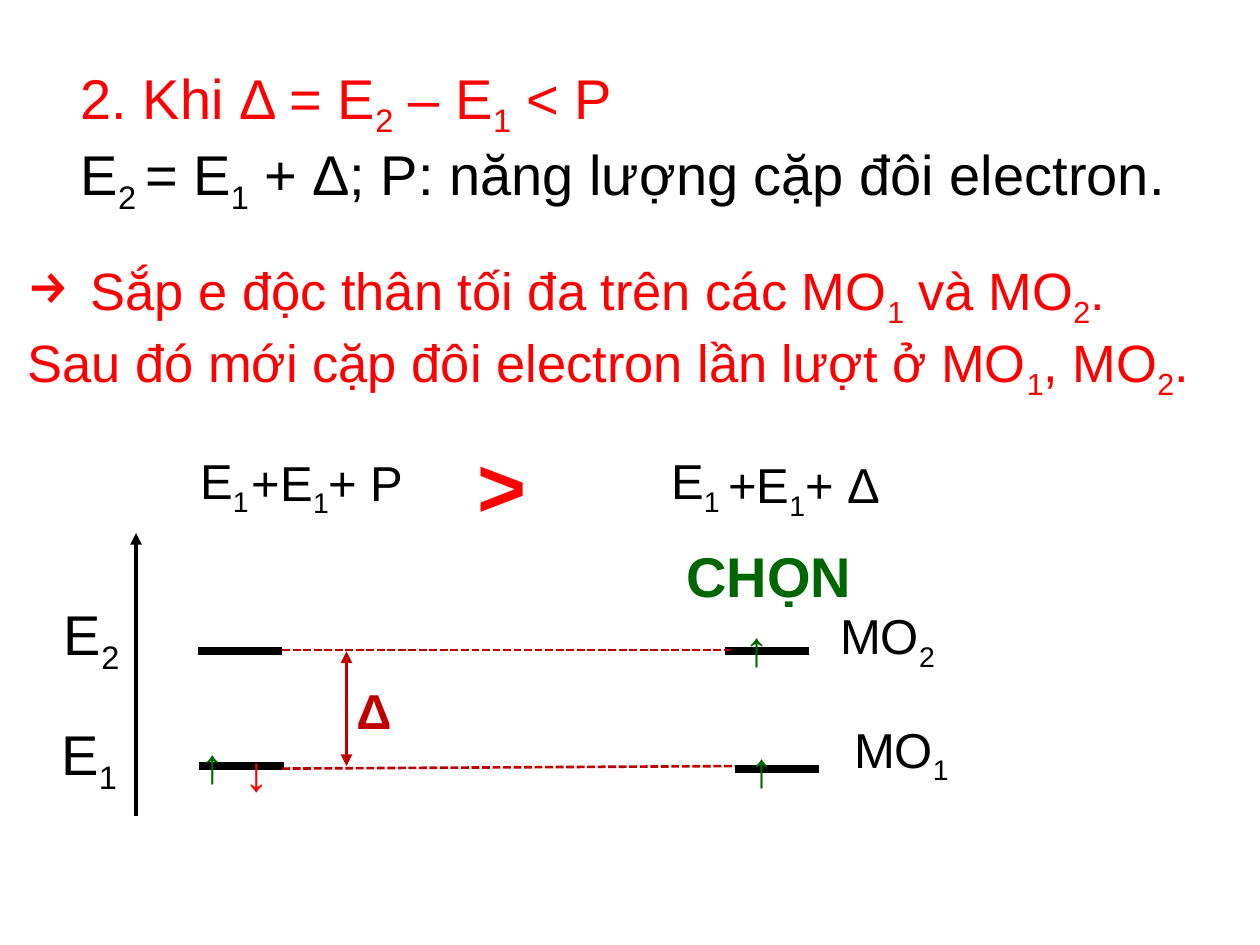
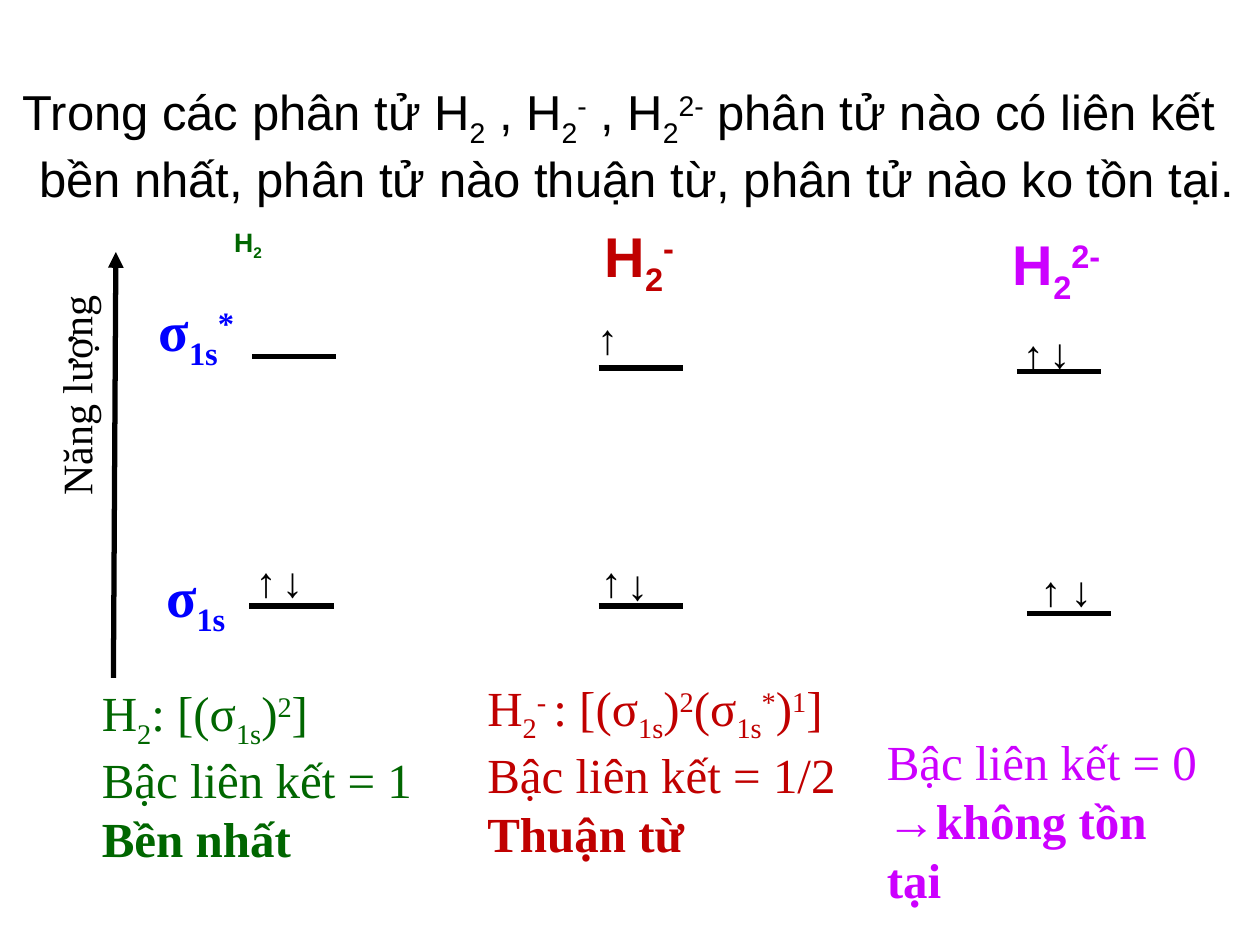
"""Build two slides on molecular orbital filling and bond order."""
from dataclasses import dataclass

from lxml import etree
from pptx import Presentation
from pptx import util as u
from pptx.dml.color import RGBColor
from pptx.enum import dml, shapes, text
from pptx.oxml.ns import qn


@dataclass(frozen=True)
class Theme:
    sans: str = "Arial"
    serif: str = "Times New Roman"
    black: str = "000000"
    red: str = "FF0000"
    crimson: str = "C00000"
    green: str = "006600"
    blue: str = "0000FF"
    violet: str = "CC00FF"
    tiny: float = 15.2
    small: int = 24
    body: int = 28
    lead: int = 30
    head: int = 32
    huge: int = 48


T = Theme()
WIDTH, HEIGHT = 10, 7.5
LEVEL_WIDTH = 0.67
SHIFT = {"_": "-25000", "^": "30000"}

RULE_TITLE = [("2. Khi Δ = E|_2| – E|_1| < P", T.red),
              ("E|_2 |= E|_1| + Δ; P: năng lượng cặp đôi electron.", T.black)]
FILLING_RULE = ["Sắp e độc thân tối đa trên các MO|_1| và MO|_2|.",
                "Sau đó mới cặp đôi electron lần lượt ở MO|_1|, MO|_2|."]
SPLIT_LEVELS = [(1.58, 6.08), (1.57, 5.17), (5.75, 5.17), (5.83, 6.1)]
GAP_GUIDES = [(2.24, 5.16, 5.79, 5.16), (2.24, 6.1, 5.83, 6.08)]
SPLIT_LABELS = [
    ("E|_2", 0.41, 4.71, 0.8, T.head, T.black, False),
    ("E|_1", 0.39, 5.66, 0.8, T.head, T.black, False),
    ("E|_1", 1.49, 3.53, 0.7, T.body, T.black, False),
    ("+E|_1|+ P", 1.9, 3.54, 1.79, T.body, T.black, False),
    (">", 3.69, 3.39, 0.75, T.huge, T.red, True),
    ("E|_1", 5.23, 3.53, 0.7, T.body, T.black, False),
    ("+E|_1|+ Δ", 5.68, 3.56, 1.79, T.body, T.black, False),
    ("CHỌN", 5.35, 4.25, 1.96, T.head, T.green, True),
    ("MO|_1", 6.68, 5.66, 1.22, T.body, T.black, False),
    ("MO|_2", 6.57, 4.76, 1.22, T.body, T.black, False),
    ("Δ", 2.73, 5.35, 0.85, T.body, T.crimson, True),
    ("↑", 1.49, 5.78, 0.4, T.body, T.green, True),
    ("↓", 1.84, 5.84, 0.4, T.body, T.red, True),
    ("↑", 5.85, 5.81, 0.4, T.body, T.green, True),
    ("↑", 5.81, 4.85, 0.4, T.body, T.green, True),
]

QUESTION = [("Trong các phân tử H|_2| , H|_2|^-| , H|_2|^2-| phân tử nào có liên kết "
             "bền nhất, phân tử nào thuận từ, phân tử nào ko tồn tại.", T.black)]
ORBITALS = [("σ|_1s", 1.22, 4.41), ("σ|_1s|^*", 1.16, 2.3)]
MOLECULES = [
    dict(name="H|_2", at=(1.76, 1.74), size=T.tiny, color=T.green,
         levels=[(1.98, 4.81, [("↑", -0.05, -0.45), ("↓", 0.16, -0.45)]),
                 (2, 2.83, [])],
         notes=["H|_2|: [(σ|_1s|)|^2|]", "Bậc liên kết = 1", "Bền nhất"],
         notes_at=(0.71, 5.37, 2.9)),
    dict(name="H|_2|^-", at=(4.7, 1.71), size=T.head, color=T.crimson,
         levels=[(4.75, 4.81, [("↑", -0.08, -0.45), ("↓", 0.13, -0.43)]),
                 (4.75, 2.92, [("↑", -0.11, -0.49)])],
         notes=["H|_2|^- |: [(σ|_1s|)|^2|(σ|_1s|^*|)|^1|]", "Bậc liên kết = 1/2",
                "Thuận từ"],
         notes_at=(3.77, 5.33, 3.1)),
    dict(name="H|_2|^2-", at=(7.94, 1.77), size=T.head, color=T.violet,
         levels=[(8.15, 4.87, [("↑", 0.01, -0.44), ("↓", 0.25, -0.44)]),
                 (8.07, 2.95, [("↑", -0.05, -0.39), ("↓", 0.16, -0.41)])],
         notes=["Bậc liên kết = 0", "→không tồn tại"],
         notes_at=(6.94, 5.76, 2.71)),
]


def write(p, marked, size, color, bold=False, font=T.sans):
    for part in filter(None, marked.split("|")):
        shift = SHIFT.get(part[0])
        r = p.add_run()
        r.text = part[1:] if shift else part
        r.font.name, r.font.size, r.font.bold = font, u.Pt(size), bold
        r.font.color.rgb = RGBColor.from_string(color)
        if shift:
            r.font._element.set("baseline", shift)


def hang(p, margin, bullet=None, color=T.black):
    pPr = p._p.get_or_add_pPr()
    pPr.set("marL", str(u.Inches(margin)))
    pPr.set("indent", str(-u.Inches(margin)))
    if bullet:
        fill = etree.SubElement(pPr, qn("a:buClr"))
        etree.SubElement(fill, qn("a:srgbClr"), val=color)
        etree.SubElement(pPr, qn("a:buChar"), char=bullet)


def paragraphs(tf, count):
    return [tf.paragraphs[0]] + [tf.add_paragraph() for _ in range(count - 1)]


def add_title(s, lines, size, x, y, w, h):
    sp = s.shapes.title
    sp.left, sp.top, sp.width, sp.height = map(u.Inches, (x, y, w, h))
    tf = sp.text_frame
    tf.word_wrap, tf.auto_size = True, text.MSO_AUTO_SIZE.NONE
    tf.vertical_anchor = text.MSO_ANCHOR.TOP
    for p, (line, color) in zip(paragraphs(tf, len(lines)), lines):
        p.alignment = text.PP_ALIGN.LEFT
        write(p, line, size, color)
    return tf


def add_text(s, lines, x, y, w, size, color, bold=False, font=T.sans, bold_last=False):
    h = 0.1 + sum(size * 1.2 / 72 + 0.07 * ("_" in line) for line in lines)
    sp = s.shapes.add_textbox(*map(u.Inches, (x, y, w, h)))
    tf = sp.text_frame
    tf.word_wrap = True
    for p, line in zip(paragraphs(tf, len(lines)), lines):
        write(p, line, size, color, bold or (bold_last and line is lines[-1]), font)
    return sp


def add_line(s, x1, y1, x2, y2, color=T.black, width=3, dash=None, ends=()):
    cn = s.shapes.add_connector(shapes.MSO_CONNECTOR.STRAIGHT,
                                *map(u.Inches, (x1, y1, x2, y2)))
    cn.line.color.rgb = RGBColor.from_string(color)
    cn.line.width = u.Pt(width)
    if dash:
        cn.line.dash_style = dash
    for end in ends:
        etree.SubElement(cn.line._get_or_add_ln(), qn(f"a:{end}"), type="triangle")
    etree.SubElement(cn._element.spPr, qn("a:effectLst"))


def add_level(s, x, y, width):
    add_line(s, x, y, x + LEVEL_WIDTH, y, width=width)


def build_splitting(s):
    add_title(s, RULE_TITLE, T.head, 0.54, 0.45, 9.08, 1.32)
    for x, y in SPLIT_LEVELS:
        add_level(s, x, y, 4.5)
    add_line(s, 1.08, 6.48, 1.08, 4.23, width=2.25, ends=["tailEnd"])
    add_line(s, 2.75, 5.17, 2.75, 6.08, T.crimson, 2.25, ends=["headEnd", "tailEnd"])
    for guide in GAP_GUIDES:
        add_line(s, *guide, T.crimson, 1.5, dml.MSO_LINE.SQUARE_DOT)
    for label, x, y, w, size, color, bold in SPLIT_LABELS:
        add_text(s, [label], x, y, w, size, color, bold)
    rule = add_text(s, FILLING_RULE, 0.12, 2, 9.85, T.lead, T.red)
    first, second = rule.text_frame.paragraphs
    hang(first, 0.5, "→", T.red)
    hang(second, 0.5)


def build_molecules(s):
    tf = add_title(s, QUESTION, T.body, 0.08, 0.6, 9.92, 1.2)
    hang(tf.paragraphs[0], 0.13)
    add_line(s, 0.9, 5.38, 0.92, 2, ends=["tailEnd"])
    axis = add_text(s, ["Năng lượng"], -0.4, 2.89, 2, T.small, T.black, font=T.serif)
    axis.text_frame.paragraphs[0].alignment = text.PP_ALIGN.CENTER
    axis.rotation = 270
    for name, x, y in ORBITALS:
        add_text(s, [name], x, y, 1.1, T.head, T.blue, True, T.serif)
    for m in MOLECULES:
        add_text(s, [m["name"]], *m["at"], 1.1, m["size"], m["color"], True)
        for x, y, electrons in m["levels"]:
            add_level(s, x, y, 3)
            for arrow, dx, dy in electrons:
                add_text(s, [arrow], x + dx, y + dy, 0.5, T.small, T.black, True)
        add_text(s, m["notes"], *m["notes_at"], T.body, m["color"],
                 font=T.serif, bold_last=True)


def main():
    prs = Presentation()
    prs.slide_width, prs.slide_height = u.Inches(WIDTH), u.Inches(HEIGHT)
    for build in (build_splitting, build_molecules):
        build(prs.slides.add_slide(prs.slide_layouts[5]))
    prs.save("out.pptx")


if __name__ == "__main__":
    main()
